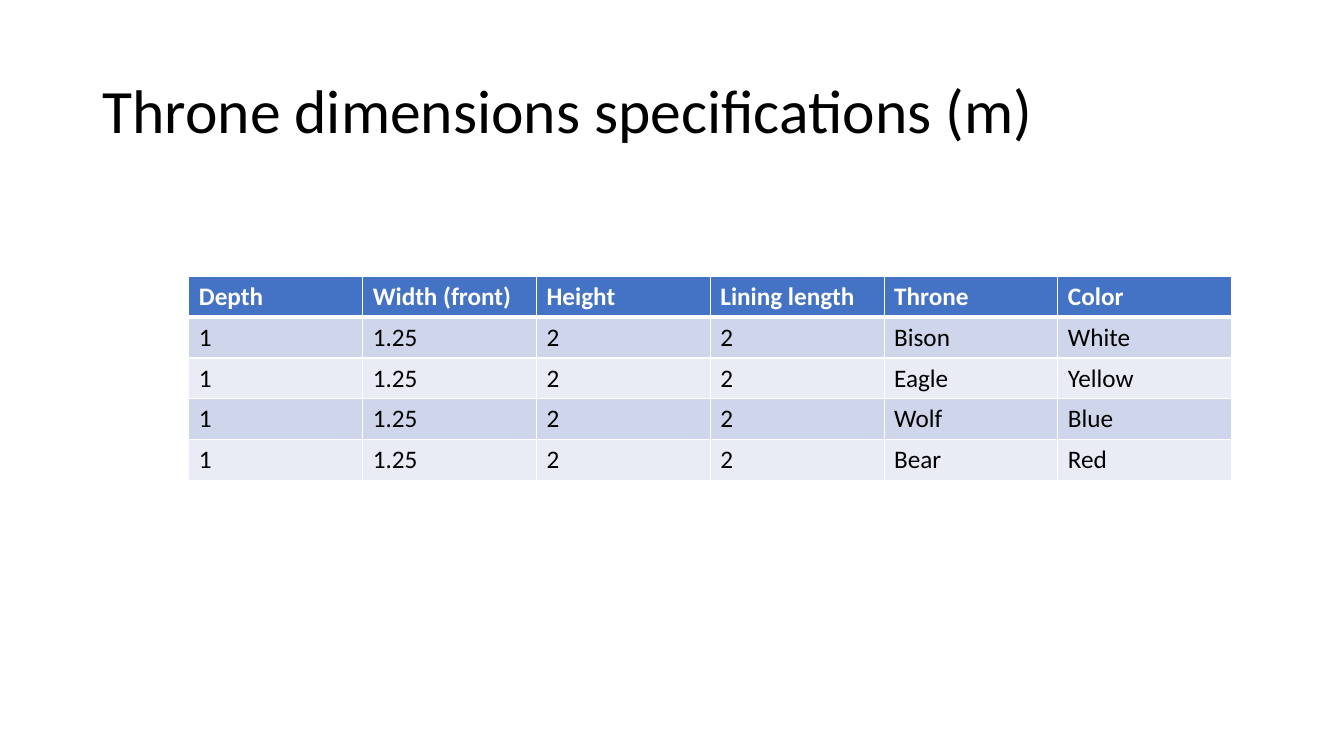
from dataclasses import astuple, dataclass, fields

from lxml import etree
from pptx import Presentation
from pptx.dml.color import RGBColor
from pptx.enum.text import MSO_ANCHOR, MSO_AUTO_SIZE, PP_ALIGN
from pptx.oxml.ns import qn
from pptx.util import Cm, Pt

LEFT = PP_ALIGN.LEFT
MIDDLE = MSO_ANCHOR.MIDDLE
NO_AUTOFIT = MSO_AUTO_SIZE.NONE

FONT = "Calibri"
TITLE_ONLY = 5
COLOURS = {
    "text": "000000",
    "header_text": "FFFFFF",
    "border": "FFFFFF",
    "header": "4472C4",
    "band_dark": "CFD5EA",
    "band_light": "E9EBF5",
}
COLUMN_WIDTH = Cm(4.38)
ROW_HEIGHT = Cm(1.03)
THIN, THICK = Pt(1), Pt(3)


@dataclass
class Throne:
    depth: str
    width: str
    height: str
    lining: str
    name: str
    colour: str


@dataclass
class RowStyle:
    fill: str
    text: str
    bold: bool
    top: int
    bottom: int


HEADINGS = Throne("Depth", "Width (front)", "Height", "Lining length", "Throne", "Color")
THRONES = [
    Throne("1", "1.25", "2", "2", name, colour)
    for name, colour in [("Bison", "White"), ("Eagle", "Yellow"), ("Wolf", "Blue"), ("Bear", "Red")]
]


def rgb(name: str) -> RGBColor:
    return RGBColor.from_string(COLOURS[name])


def add_span(para, text: str, size: int, colour: str, bold: bool = False) -> None:
    span = para.add_run()
    span.text = text
    span.font.name = FONT
    span.font.size = Pt(size)
    span.font.bold = bold
    span.font.color.rgb = rgb(colour)


def add_title(page, text: str) -> None:
    box = page.shapes.title
    box.left, box.top, box.width, box.height = Cm(2.33), Cm(1.01), Cm(29.21), Cm(3.68)
    frame = box.text_frame
    frame.word_wrap = True
    frame.auto_size = NO_AUTOFIT
    frame.vertical_anchor = MIDDLE
    para = frame.paragraphs[0]
    para.alignment = LEFT
    para.line_spacing = 0.9
    add_span(para, text, 44, "text")


def add_border(cell, side: str, width: int) -> None:
    properties = cell._tc.get_or_add_tcPr()
    line = etree.SubElement(properties, qn(f"a:{side}"), w=str(width))
    fill = etree.SubElement(line, qn("a:solidFill"))
    etree.SubElement(fill, qn("a:srgbClr"), val=COLOURS["border"])


def row_style(index: int) -> RowStyle:
    if index == 0:
        return RowStyle("header", "header_text", True, THIN, THICK)
    band = "band_dark" if index % 2 else "band_light"
    return RowStyle(band, "text", False, THICK if index == 1 else THIN, THIN)


def fill_cell(cell, text: str, style: RowStyle) -> None:
    borders = {"lnL": THIN, "lnR": THIN, "lnT": style.top, "lnB": style.bottom}
    for side, width in borders.items():
        add_border(cell, side, width)
    cell.fill.solid()
    cell.fill.fore_color.rgb = rgb(style.fill)
    add_span(cell.text_frame.paragraphs[0], text, 18, style.text, style.bold)


def add_throne_table(page, rows: list[Throne]) -> None:
    count = len(fields(Throne))
    table = page.shapes.add_table(
        len(rows), count, Cm(4.76), Cm(6.96), COLUMN_WIDTH * count, ROW_HEIGHT * len(rows)
    ).table
    for column in table.columns:
        column.width = COLUMN_WIDTH
    for index, throne in enumerate(rows):
        table.rows[index].height = ROW_HEIGHT
        for cell, text in zip(table.rows[index].cells, astuple(throne)):
            fill_cell(cell, text, row_style(index))


def main() -> None:
    deck = Presentation()
    deck.slide_width, deck.slide_height = Cm(33.87), Cm(19.05)
    page = deck.slides.add_slide(deck.slide_layouts[TITLE_ONLY])

    # Title
    add_title(page, "Throne dimensions specifications (m)")

    # Dimensions table
    add_throne_table(page, [HEADINGS, *THRONES])

    deck.save("out.pptx")


if __name__ == "__main__":
    main()
